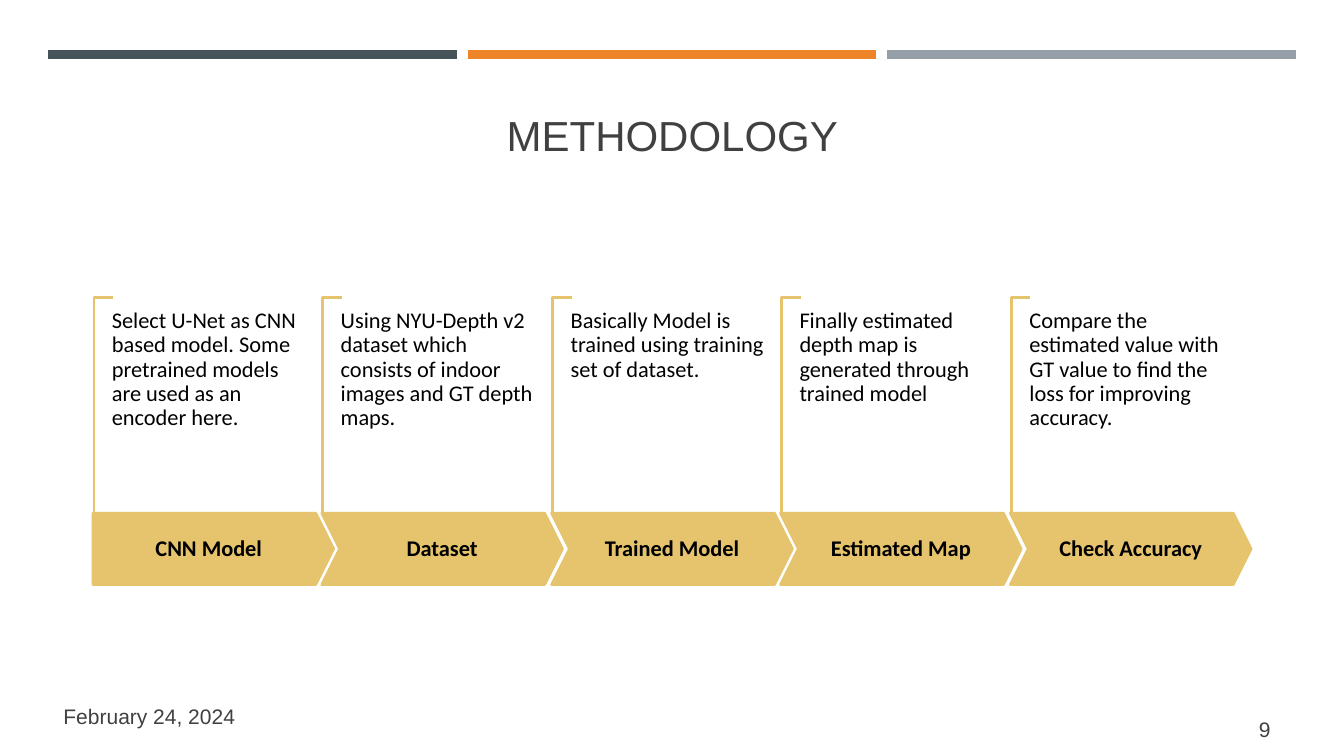
"""Builds the methodology slide: five process steps on a chevron band."""
import pptx
import pptx.dml.color
import pptx.enum.shapes
import pptx.enum.text
import pptx.oxml.ns
import pptx.util
from lxml import etree

PX = 9144
SLATE = pptx.dml.color.RGBColor(0x46, 0x53, 0x59)
ORANGE = pptx.dml.color.RGBColor(0xED, 0x84, 0x28)
GREY = pptx.dml.color.RGBColor(0x96, 0x9F, 0xA7)
GOLD = pptx.dml.color.RGBColor(0xE6, 0xC4, 0x6D)
CHARCOAL = pptx.dml.color.RGBColor(0x40, 0x40, 0x40)
BLACK = pptx.dml.color.RGBColor(0, 0, 0)

SHAPE = pptx.enum.shapes.MSO_SHAPE
ALIGN = pptx.enum.text.PP_ALIGN
ANCHOR = pptx.enum.text.MSO_ANCHOR

STEPS = [
    ("CNN Model", "Select U-Net as CNN based model. Some pretrained models "
                  "are used as an encoder here."),
    ("Dataset", "Using NYU-Depth v2 dataset which consists of indoor images "
                "and GT depth maps."),
    ("Trained Model", "Basically Model is trained using training set of dataset."),
    ("Estimated Map", "Finally estimated depth map is generated through trained model"),
    ("Check Accuracy", "Compare the estimated value with GT value to find the "
                       "loss for improving accuracy."),
]
FIRST_LEFT = 92
TWO_STEPS = 455


def emu(*lengths):
    """Turn px lengths into EMU."""
    return [length * PX for length in lengths]


def write(frame, words, size, font, color, align, anchor, insets, bold=False, spacing=None):
    """Fill a text frame with one formatted paragraph."""
    frame.word_wrap = True
    frame.vertical_anchor = anchor
    (frame.margin_left, frame.margin_top,
     frame.margin_right, frame.margin_bottom) = emu(*insets)
    frame.text = words
    paragraph = frame.paragraphs[0]
    paragraph.alignment = align
    paragraph.line_spacing = spacing
    for run in paragraph.runs:
        run.font.size = pptx.util.Pt(size)
        run.font.name = font
        run.font.bold = bold
        run.font.color.rgb = color


def set_line(drawn, color, width):
    """Set the line colour and width of a shape or connector."""
    drawn.line.color.rgb = color
    drawn.line.width = pptx.util.Pt(width)


def add_rule(slide, left, color):
    """Draw one of the coloured rules along the top."""
    rule = slide.shapes.add_connector(
        pptx.enum.shapes.MSO_CONNECTOR.STRAIGHT, *emu(left, 54, left + 405, 54))
    set_line(rule, color, 6.5)
    etree.SubElement(rule._element.spPr, pptx.oxml.ns.qn("a:effectLst"))


def add_caption(slide, box, words, size, align):
    """Add a page-level text such as the title, date or page number."""
    caption = slide.shapes.add_textbox(*emu(*box))
    write(caption.text_frame, words, size, "Arial", CHARCOAL, align,
          ANCHOR.MIDDLE, (10, 5, 10, 5))


def add_bracket(slide, left):
    """Draw the thin bracket along the left and top of a description."""
    outline = slide.shapes.build_freeform(left, 509, scale=PX)
    outline.add_line_segments([(left, 295), (left + 19, 295)], close=False)
    bracket = outline.convert_to_shape()
    bracket.shadow.inherit = False
    bracket.fill.background()
    set_line(bracket, GOLD, 1.75)


def add_arrow(slide, left, kind, heading):
    """Add the labelled arrow of one step."""
    arrow = slide.shapes.add_shape(kind, *emu(left, 509, 239, 71))
    arrow.adjustments[0] = 0.25
    arrow.shadow.inherit = False
    arrow.fill.solid()
    arrow.fill.fore_color.rgb = GOLD
    set_line(arrow, GOLD, 1.75)
    write(arrow.text_frame, heading, 16, "Calibri", BLACK, ALIGN.CENTER,
          ANCHOR.MIDDLE, (11, 22, 11, 22), bold=True, spacing=0.9)


def add_step(slide, left, kind, heading, description):
    """Add one step: bracket, labelled arrow and description."""
    add_bracket(slide, left + 1)
    add_arrow(slide, left, kind, heading)
    details = slide.shapes.add_textbox(*emu(left + 19, 307, 194, 148))
    write(details.text_frame, description, 16, "Calibri", BLACK, ALIGN.LEFT,
          ANCHOR.TOP, (0, 0, 0, 0), spacing=0.9)


def main():
    """Build and save the slide."""
    deck = pptx.Presentation()
    deck.slide_width, deck.slide_height = emu(1333, 750)
    slide = deck.slides.add_slide(deck.slide_layouts[6])
    for index, color in enumerate((SLATE, ORANGE, GREY)):
        add_rule(slide, 48 + 416 * index, color)
    add_caption(slide, (64, 80, 1206, 108), "METHODOLOGY", 30, ALIGN.CENTER)
    for index, (heading, description) in enumerate(STEPS):
        kind = SHAPE.CHEVRON if index else SHAPE.PENTAGON
        add_step(slide, FIRST_LEFT + TWO_STEPS * index // 2, kind, heading, description)
    add_caption(slide, (0, 690, 243, 40), "February 24, 2024", 15, ALIGN.RIGHT)
    add_caption(slide, (1155, 703, 115, 40), "9", 15, ALIGN.RIGHT)
    deck.save("out.pptx")


if __name__ == "__main__":
    main()
